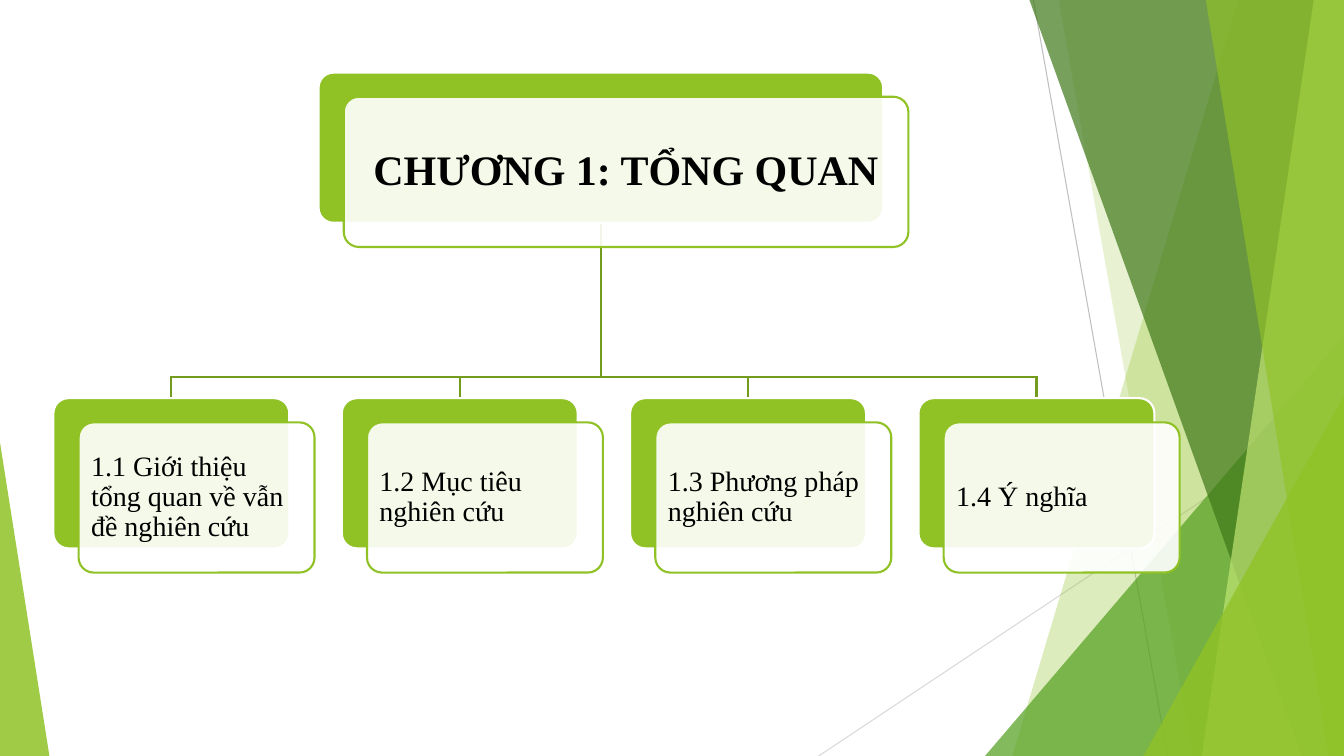
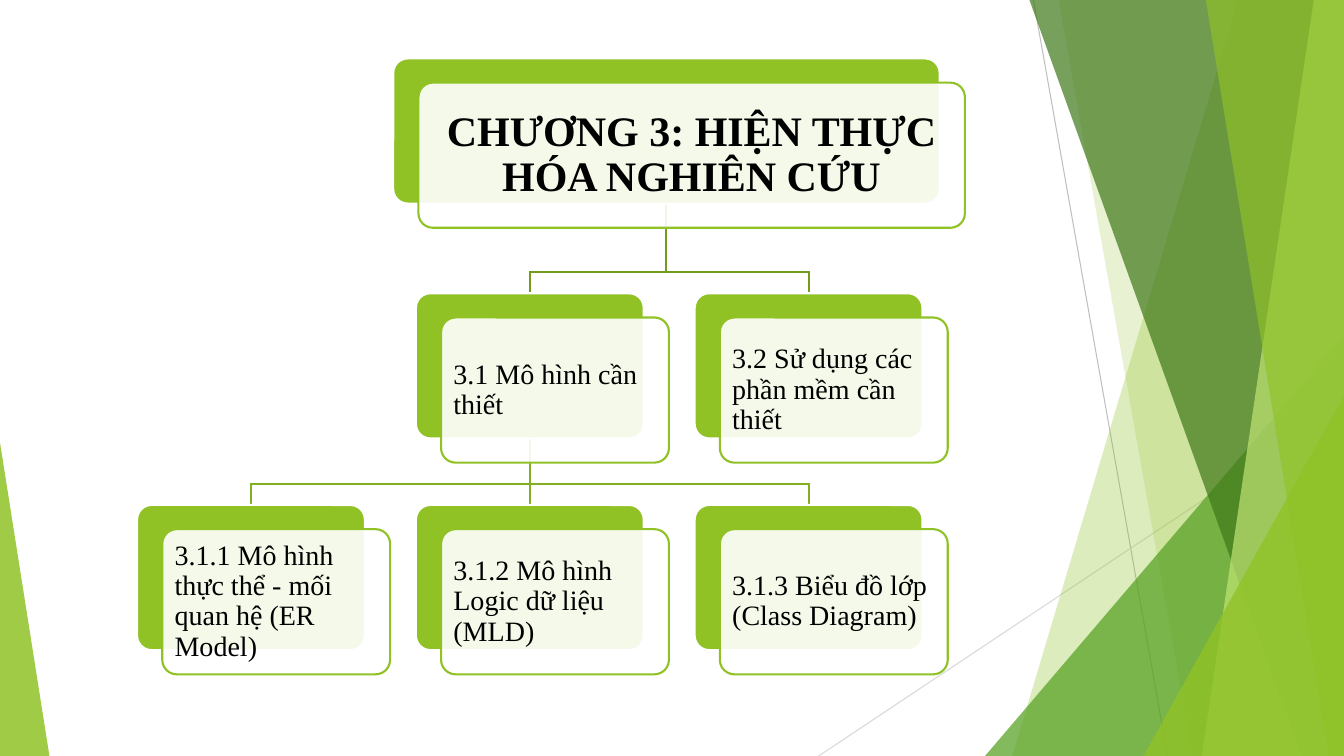
from lxml.etree import SubElement
from pptx import Presentation
from pptx.dml.color import RGBColor
from pptx.enum.shapes import MSO_CONNECTOR as Link, MSO_SHAPE as Preset
from pptx.enum.text import MSO_ANCHOR as Anchor, PP_ALIGN as Align
from pptx.oxml.ns import qn
from pptx.util import Inches, Pt

WIDTH, HEIGHT = 13.33, 7.5
GREEN, LEAF, FOREST, LIME = "90C226", "54A021", "3F7819", "C0E474"
WHITE, BLACK = "FFFFFF", "000000"
FONT = "Times New Roman"
LINK_COLORS = ["739B1E", "83B022"]
LINK_DROP = 0.21
PANEL_SHIFT = (0.25, 0.24)
CORNER = 0.1

RAYS = [
    ((10.25, 0), (11.58, HEIGHT), "BFBFBF"),
    ((WIDTH, 4.03), (8.12, HEIGHT), "D9D9D9"),
]
# kind, geometry, colour, opacity
BACKDROP = [
    ("band", (12.28, 10.04), GREEN, 30),
    ("band", (10.5, 11.83), GREEN, 20),
    ("corner", (9.77, 3.33, WIDTH - 9.77, 1), LEAF, 72),
    ("band", (10.21, 12.91), FOREST, 70),
    ("band", (13.03, 11.92), LIME, 70),
    ("band", (11.96, 13.18), GREEN, 65),
    ("corner", (11.34, 3.93, WIDTH - 11.34, 1), GREEN, 80),
    ("corner", (0, 4.39, 0.49, 0), GREEN, 85),
]

CHARTS = [
    {
        "title": "CHƯƠNG 1: TỔNG QUAN",
        "title_left": 3.16, "title_width": 5.6,
        "left": 0.53, "pitch": 2.86, "card": (2.34, 1.49),
        "tops": [0.72, 3.95],
        "cards": [
            (1, 0, "1.1 Giới thiệu tổng quan về vẫn đề nghiên cứu"),
            (1, 1, "1.2 Mục tiêu nghiên cứu"),
            (1, 2, "1.3 Phương pháp nghiên cứu"),
            (1, 3, "1.4 Ý nghĩa"),
        ],
        "parents": [None],
    },
    {
        "title": "CHƯƠNG 3: HIỆN THỰC HÓA NGHIÊN CỨU",
        "title_left": 3.9, "title_width": 5.42,
        "left": 1.36, "pitch": 2.765, "card": (2.26, 1.44),
        "tops": [0.58, 2.91, 5.01],
        "cards": [
            (1, 1, "3.1 Mô hình cần thiết"),
            (1, 2, "3.2 Sử dụng các phần mềm cần thiết"),
            (2, 0, "3.1.1 Mô hình thực thể - mối quan hệ (ER Model)"),
            (2, 1, "3.1.2 Mô hình Logic dữ liệu (MLD)"),
            (2, 2, "3.1.3 Biểu đồ lớp (Class Diagram)"),
        ],
        "parents": [None, 1],
    },
]


def rgb(color):
    return RGBColor.from_string(color)


def paint(shape, color, opacity=100, outline=None):
    shape.shadow.inherit = False
    shape.fill.solid()
    shape.fill.fore_color.rgb = rgb(color)
    if opacity < 100:
        tint = shape.element.spPr.find(".//" + qn("a:srgbClr"))
        SubElement(tint, qn("a:alpha"), val=str(opacity * 1000))
    if outline:
        shape.line.color.rgb = rgb(outline)
        shape.line.width = Pt(1.5)
    else:
        shape.line.fill.background()


def add_line(page, start, end, color, weight):
    ends = [Inches(value) for value in (*start, *end)]
    line = page.shapes.add_connector(Link.STRAIGHT, *ends)
    line.line.color.rgb = rgb(color)
    line.line.width = Pt(weight)
    line.get_or_add_ln().set("cap", "sq")
    SubElement(line.element.spPr, qn("a:effectLst"))


def add_band(page, top_x, bottom_x):
    corners = [(top_x, 0), (WIDTH, 0), (WIDTH, HEIGHT), (bottom_x, HEIGHT)]
    points = [(Inches(x), Inches(y)) for x, y in corners]
    outline = page.shapes.build_freeform(*points[0], scale=1.0)
    outline.add_line_segments(points[1:], close=True)
    return outline.convert_to_shape()


def add_corner(page, left, top, width, apex):
    frame = [Inches(value) for value in (left, top, width, HEIGHT - top)]
    corner = page.shapes.add_shape(Preset.ISOSCELES_TRIANGLE, *frame)
    corner.adjustments[0] = apex
    return corner


def build_backdrop(page, layout):
    for holder in list(layout.placeholders):
        layout.shapes.element.remove(holder.element)
    for start, end, color in RAYS:
        add_line(page, start, end, color, 0.75)
    makers = {"band": add_band, "corner": add_corner}
    for kind, geometry, color, opacity in BACKDROP:
        paint(makers[kind](page, *geometry), color, opacity)
    for shape in list(page.shapes):
        layout.shapes.element.append(shape.element)


def add_card(page, left, top, width, height, text, is_title):
    def add_panel(x, y):
        frame = [Inches(value) for value in (x, y, width, height)]
        panel = page.shapes.add_shape(Preset.ROUNDED_RECTANGLE, *frame)
        panel.adjustments[0] = CORNER
        return panel

    paint(add_panel(left, top), GREEN, outline=WHITE)
    front = add_panel(left + PANEL_SHIFT[0], top + PANEL_SHIFT[1])
    paint(front, WHITE, 90, GREEN)
    box = front.text_frame
    box.word_wrap = True
    box.vertical_anchor = Anchor.MIDDLE
    inset = Inches(0.12 if is_title else 0.08)
    box.margin_left = box.margin_right = inset
    box.margin_top = box.margin_bottom = inset
    para = box.paragraphs[0]
    para.alignment = Align.CENTER if is_title else Align.LEFT
    para.line_spacing = 0.9
    span = para.add_run()
    span.text = text
    span.font.name = FONT
    span.font.size = Pt(30 if is_title else 20)
    span.font.bold = is_title
    span.font.color.rgb = rgb(BLACK)


def draw_chart(page, chart):
    width, height = chart["card"]
    tops = chart["tops"]

    def column_left(column):
        return chart["left"] + column * chart["pitch"]

    for level, parent in enumerate(chart["parents"]):
        if parent is None:
            trunk = chart["title_left"] + chart["title_width"] / 2
        else:
            trunk = column_left(parent) + width / 2
        child_top = tops[level + 1]
        bend = child_top - LINK_DROP
        centers = [column_left(column) + width / 2
                   for row, column, text in chart["cards"] if row == level + 1]
        segments = [((trunk, tops[level] + height), (trunk, bend)),
                    ((centers[0], bend), (centers[-1], bend))]
        segments += [((x, bend), (x, child_top)) for x in centers]
        for start, end in segments:
            add_line(page, start, end, LINK_COLORS[level], 1.5)

    add_card(page, chart["title_left"], tops[0], chart["title_width"], height,
             chart["title"], True)
    for row, column, text in chart["cards"]:
        add_card(page, column_left(column), tops[row], width, height, text, False)


def main():
    deck = Presentation()
    deck.slide_width, deck.slide_height = Inches(WIDTH), Inches(HEIGHT)
    layout = deck.slide_layouts[6]
    pages = [deck.slides.add_slide(layout) for chart in CHARTS]
    build_backdrop(pages[0], layout)
    for page, chart in zip(pages, CHARTS):
        draw_chart(page, chart)
    deck.save("out.pptx")


if __name__ == "__main__":
    main()
